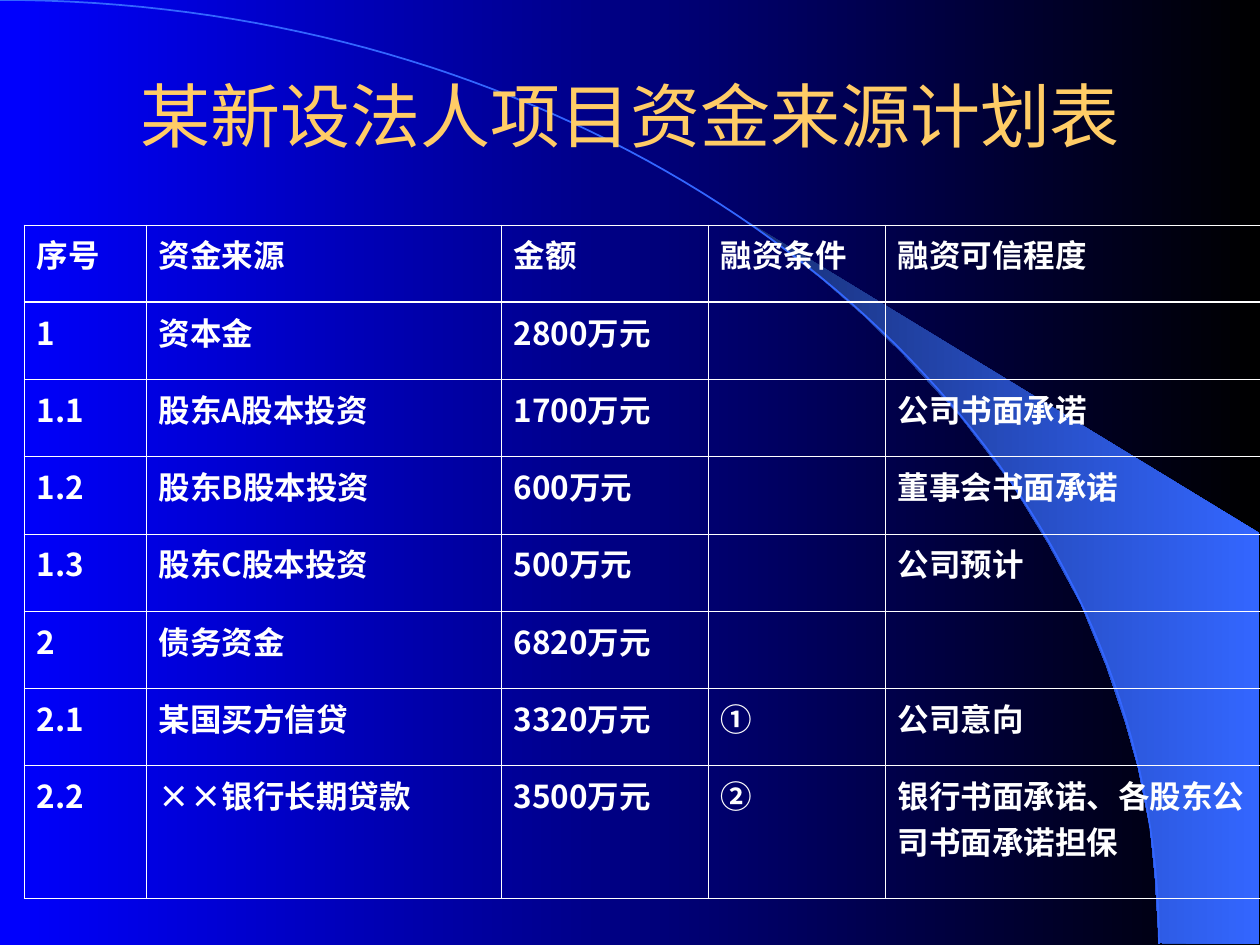
from lxml import etree
from pptx import Presentation
from pptx import util as u
from pptx.dml.color import RGBColor
from pptx.enum import text
from pptx.oxml.ns import qn

SCALE = 914400 / 126
FONT = "Noto Sans CJK SC"
BLUE = RGBColor(0x00, 0x00, 0xFF)
BLACK = RGBColor(0x00, 0x00, 0x00)
NAVY = RGBColor(0x18, 0x2F, 0x76)
SKY = RGBColor(0x33, 0x66, 0xFF)
GOLD = RGBColor(0xFF, 0xCC, 0x66)
WHITE = RGBColor(0xFF, 0xFF, 0xFF)


def px(n):
    return u.Emu(round(n * SCALE))


def style(run, name, size, color, bold=False):
    """Set the run's Latin and East Asian fonts, size and colour."""
    font = run.font
    font.name, font.size, font.bold = name, u.Pt(size), bold
    font.color.rgb = color
    east = etree.SubElement(font._element, qn("a:ea"))
    east.set("typeface", FONT)


deck = Presentation()
deck.slide_width, deck.slide_height = px(1260), px(945)
slide = deck.slides.add_slide(deck.slide_layouts[6])

# Background, swoosh and arc
back = slide.background.fill
back.gradient()
back.gradient_angle = 0
for stop, color in zip(back.gradient_stops, (BLUE, BLACK)):
    stop.color.rgb = color

edge = [(1159, 943), (1259, 944), (1259, 533), (742, 218), (786, 251),
        (823, 280), (863, 315), (902, 353), (960, 416), (1012, 484),
        (1048, 543), (1081, 604), (1106, 665), (1125, 721), (1138, 767),
        (1150, 827), (1155, 877)]
pts = [(px(x), px(y)) for x, y in edge]
path = slide.shapes.build_freeform(*pts[0], scale=1.0)
path.add_line_segments(pts[1:], close=True)
swoosh = path.convert_to_shape()
swoosh.shadow.inherit = False
swoosh.line.fill.background()
swoosh.fill.gradient()
swoosh.fill.gradient_angle = 0
for stop, color in zip(swoosh.fill.gradient_stops, (NAVY, SKY)):
    stop.color.rgb = color

# Bezier from the top left corner, sampled evenly
pts = []
for i in range(1, 81):
    t = i / 80
    s = 1 - t
    x = 3 * s * s * t * 640 + (3 * s * t * t + t ** 3) * 1159
    y = 3 * s * t * t * 422 + t ** 3 * 944
    pts.append((px(x), px(y)))
path = slide.shapes.build_freeform(0, 0, scale=1.0)
path.add_line_segments(pts, close=False)
arc = path.convert_to_shape()
arc.shadow.inherit = False
arc.fill.background()
arc.line.color.rgb = SKY
arc.line.width = u.Pt(1)

# Title
title = slide.shapes.add_textbox(px(95), px(45), px(1071), px(139))
frame = title.text_frame
frame.word_wrap = True
frame.vertical_anchor = text.MSO_ANCHOR.MIDDLE
frame.text = "某新设法人项目资金来源计划表"
frame.paragraphs[0].alignment = text.PP_ALIGN.CENTER
style(frame.paragraphs[0].runs[0], "Arial", 40, GOLD)

# Table
rows = [
    ("序号", "资金来源", "金额", "融资条件", "融资可信程度"),
    ("1", "资本金", "2800万元", "", ""),
    ("1.1", "股东A股本投资", "1700万元", "", "公司书面承诺"),
    ("1.2", "股东B股本投资", "600万元", "", "董事会书面承诺"),
    ("1.3", "股东C股本投资", "500万元", "", "公司预计"),
    ("2", "债务资金", "6820万元", "", ""),
    ("2.1", "某国买方信贷", "3320万元", "①", "公司意向"),
    ("2.2", "××银行长期贷款", "3500万元", "②", "银行书面承诺、各股东公司书面承诺担保"),
]
cols = (122, 355, 207, 177, 375)
last = 133
high = 541 / 7
grid = slide.shapes.add_table(len(rows), len(cols), px(24), px(225),
                              px(sum(cols)), px(541 + last)).table
grid.first_row = grid.horz_banding = False
for col, wide in zip(grid.columns, cols):
    col.width = px(wide)

for r, row in enumerate(rows):
    grid.rows[r].height = px(last if r == len(rows) - 1 else high)
    for c, words in enumerate(row):
        cell = grid.cell(r, c)
        cell.fill.background()
        if words:
            cell.text_frame.text = words
            style(cell.text_frame.paragraphs[0].runs[0], FONT, 18, WHITE, True)
        props = cell._tc.get_or_add_tcPr()
        for i, side in enumerate("LRTB"):
            thick = (r, side) in ((0, "B"), (1, "T"))
            line = etree.Element(qn("a:ln" + side), w=str(u.Pt(1.47 if thick else 0.45)))
            solid = etree.SubElement(line, qn("a:solidFill"))
            etree.SubElement(solid, qn("a:srgbClr"), val=str(WHITE))
            props.insert(i, line)

deck.save("out.pptx")
